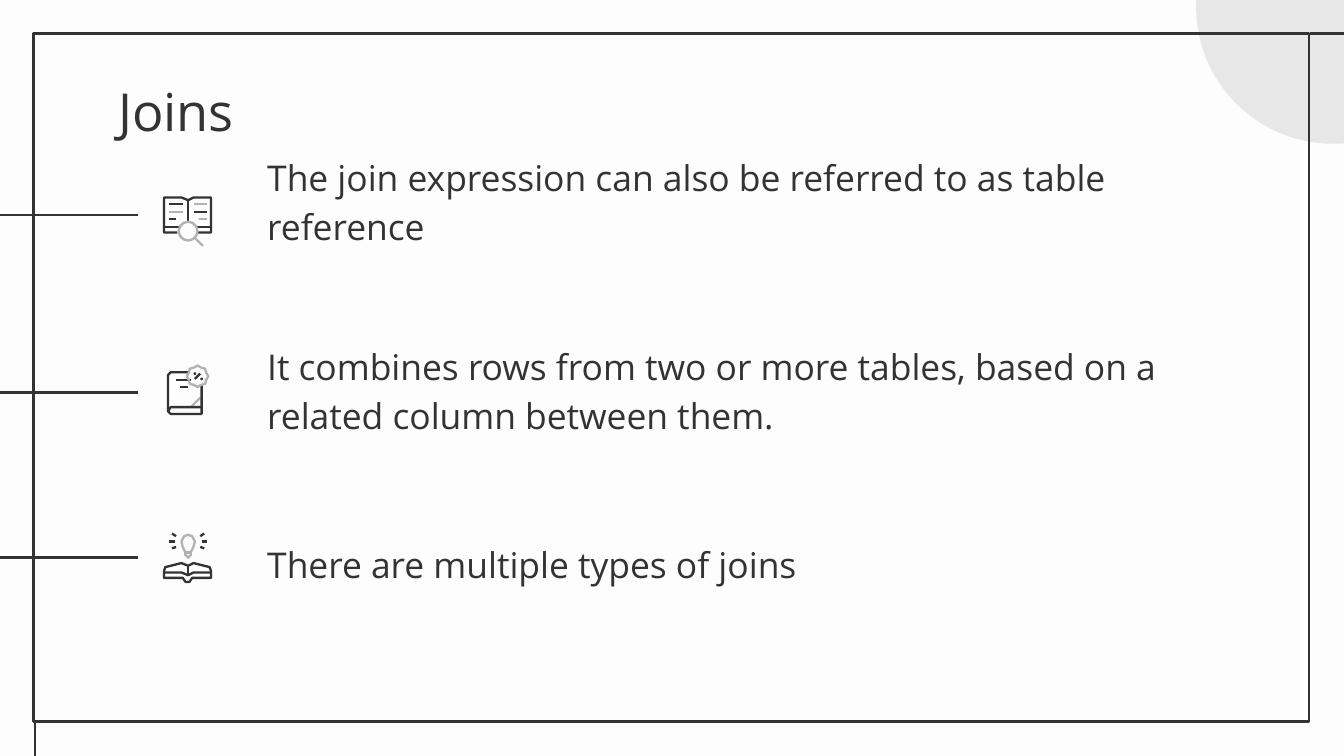
import math

import lxml.etree
import pptx
import pptx.dml.color
import pptx.enum.shapes
import pptx.enum.text
import pptx.oxml.ns
import pptx.util

Inches = pptx.util.Inches
SHAPES = pptx.enum.shapes.MSO_SHAPE
ANCHOR = pptx.enum.text.MSO_ANCHOR
COLORS = {"background": "FDFDFD", "ink": "333333", "grey": "B2B2B2", "circle": "E8E7E7"}


def color(name):
    return pptx.dml.color.RGBColor.from_string(COLORS[name])


def write_text(shape, text, size, anchor, spacing=1.0, font="Open Sans"):
    frame = shape.text_frame
    frame.word_wrap = True
    frame.auto_size = pptx.enum.text.MSO_AUTO_SIZE.NONE
    frame.vertical_anchor = anchor
    frame.margin_left = frame.margin_right = Inches(0.1)
    frame.margin_top = frame.margin_bottom = Inches(0.1)
    paragraph = frame.paragraphs[0]
    paragraph.alignment = pptx.enum.text.PP_ALIGN.LEFT
    paragraph.line_spacing = spacing
    run = paragraph.add_run()
    run.text = text
    run.font.size = pptx.util.Pt(size)
    run.font.name = font
    run.font.color.rgb = color("ink")


class SlideBuilder:
    frame_width = 1.5
    icon_width = 1.25

    def __init__(self, presentation):
        self.slide = presentation.slides.add_slide(presentation.slide_layouts[5])
        background = self.slide.background.fill
        background.solid()
        background.fore_color.rgb = color("background")

    def title(self, text, box):
        shape = self.slide.shapes.title
        shape.left, shape.top, shape.width, shape.height = map(Inches, box)
        write_text(shape, text, 28, ANCHOR.TOP)

    def text(self, text, box):
        shape = self.slide.shapes.add_textbox(*map(Inches, box))
        write_text(shape, text, 19, ANCHOR.BOTTOM, spacing=1.15)

    def paint(self, shape, fill, line, width):
        shape.shadow.inherit = False
        if fill:
            shape.fill.solid()
            shape.fill.fore_color.rgb = color(fill)
        else:
            shape.fill.background()
        if line:
            shape.line.color.rgb = color(line)
            shape.line.width = pptx.util.Pt(width)
        else:
            shape.line.fill.background()

    def shape(self, kind, box, fill=None, line=None, width=frame_width):
        shape = self.slide.shapes.add_shape(kind, *map(Inches, box))
        self.paint(shape, fill, line, width)

    def line(self, start, end, name="ink", width=frame_width):
        connector = self.slide.shapes.add_connector(
            pptx.enum.shapes.MSO_CONNECTOR.STRAIGHT, *map(Inches, start + end))
        connector.line.color.rgb = color(name)
        connector.line.width = pptx.util.Pt(width)
        properties = connector._element.spPr
        lxml.etree.SubElement(properties, pptx.oxml.ns.qn("a:effectLst"))

    def icon_line(self, start, end, name="ink"):
        self.line(start, end, name, self.icon_width)

    def icon_circle(self, center, radius, fill=None, line=None):
        x, y = center
        box = (x - radius, y - radius, 2 * radius, 2 * radius)
        self.shape(SHAPES.OVAL, box, fill, line, self.icon_width)

    def icon_outline(self, points, name="ink", close=False):
        corners = [(Inches(x), Inches(y)) for x, y in points]
        builder = self.slide.shapes.build_freeform(*corners[0])
        builder.add_line_segments(corners[1:], close=close)
        self.paint(builder.convert_to_shape(), None, name, self.icon_width)

    def search_book(self):
        self.icon_outline([(1.32, 1.73), (1.22, 1.73), (1.22, 1.47), (1.35, 1.47),
                           (1.4, 1.49), (1.44, 1.47), (1.57, 1.47), (1.57, 1.73),
                           (1.47, 1.73)])
        self.icon_line((1.4, 1.49), (1.4, 1.65))
        for start, end in ((1.22, 1.33), (1.46, 1.57)):
            self.icon_line((start, 1.69), (end, 1.69))
        for y, left, right, left_color, right_color in (
                (1.52, 1.36, 1.44, "ink", "grey"),
                (1.58, 1.36, 1.44, "grey", "ink"),
                (1.63, 1.31, 1.48, "ink", "grey")):
            self.icon_line((1.26, y), (left, y), left_color)
            self.icon_line((right, y), (1.54, y), right_color)
        self.icon_circle((1.4, 1.72), 0.07, line="grey")
        self.icon_line((1.45, 1.77), (1.51, 1.83), "grey")

    def badge_book(self):
        self.icon_line((1.42, 3.03), (1.49, 2.96), "grey")
        self.icon_outline([(1.41, 2.77), (1.27, 2.77), (1.25, 2.79), (1.25, 3.06),
                           (1.27, 3.08), (1.5, 3.08), (1.5, 2.86)])
        self.icon_outline([(1.25, 3.06), (1.27, 3.03), (1.5, 3.03)])
        self.icon_line((1.31, 2.83), (1.42, 2.83))
        self.icon_line((1.34, 2.88), (1.4, 2.88))
        scallops = []
        for step in range(16):
            radius = 0.08 if step % 2 == 0 else 0.07
            angle = step * math.pi / 8
            scallops.append((1.47 + radius * math.cos(angle), 2.8 + radius * math.sin(angle)))
        self.icon_outline(scallops, "grey", close=True)
        self.icon_line((1.45, 2.82), (1.49, 2.78))
        for center in ((1.45, 2.78), (1.5, 2.82)):
            self.icon_circle(center, 0.01, fill="ink")

    def idea_book(self):
        self.icon_outline([(1.22, 4.3), (1.22, 4.25), (1.23, 4.22), (1.35, 4.19),
                           (1.4, 4.21), (1.44, 4.19), (1.56, 4.22), (1.57, 4.25),
                           (1.57, 4.3), (1.43, 4.3), (1.41, 4.33), (1.38, 4.33),
                           (1.36, 4.3)], close=True)
        self.icon_outline([(1.22, 4.26), (1.35, 4.26), (1.4, 4.28), (1.44, 4.26),
                           (1.57, 4.26)])
        self.icon_line((1.4, 4.21), (1.4, 4.28))
        middle = 1.4
        for inner, inner_y, outer, outer_y in ((0.09, 3.99, 0.12, 3.97),
                                               (0.1, 4.03, 0.14, 4.03),
                                               (0.09, 4.07, 0.12, 4.08)):
            for side in (-1, 1):
                self.icon_line((middle + side * inner, inner_y),
                               (middle + side * outer, outer_y))
        half_bulb = [(0.03, 3.99), (0.05, 4.03), (0.04, 4.07), (0.02, 4.11), (0.02, 4.13)]
        right = [(middle + x, y) for x, y in half_bulb]
        left = [(middle - x, y) for x, y in reversed(half_bulb)]
        self.icon_outline([(middle, 3.98)] + right + [(middle, 4.15)] + left,
                          "grey", close=True)
        self.icon_line((1.38, 4.11), (1.42, 4.11), "grey")


def main():
    presentation = pptx.Presentation()
    presentation.slide_width = Inches(10)
    presentation.slide_height = presentation.slide_width * 9 // 16
    builder = SlideBuilder(presentation)

    builder.shape(SHAPES.OVAL, (8.9, -0.97, 2.04, 2.04), fill="circle")
    builder.shape(SHAPES.RECTANGLE, (0.25, 0.25, 9.49, 5.12), line="ink")
    builder.line((10.08, 0.25), (9.75, 0.25))
    builder.line((0.26, 5.38), (0.26, 5.72))

    builder.title("Joins", (0.78, 0.49, 8.43, 0.63))
    rows = (
        (1.6, 1.36, "The join expression can also be referred to as table reference",
         builder.search_book),
        (2.92, 2.77, "It combines rows from two or more tables, based on a related "
         "column between them.", builder.badge_book),
        (4.15, 3.88, "There are multiple types of joins", builder.idea_book),
    )
    for line_y, text_top, text, draw_icon in rows:
        builder.line((0, line_y), (1.03, line_y))
        builder.text(text, (1.89, text_top, 7.23, 0.58))
        draw_icon()

    presentation.save("out.pptx")


if __name__ == "__main__":
    main()
